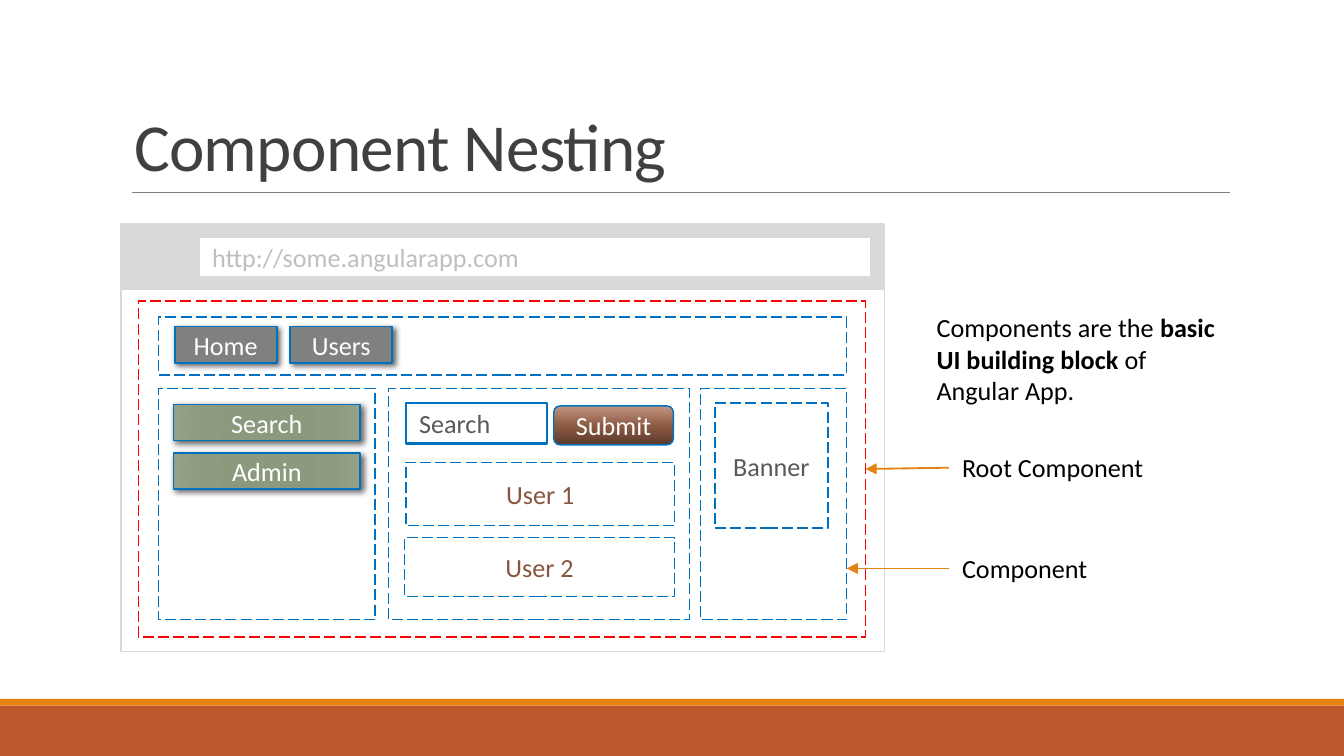
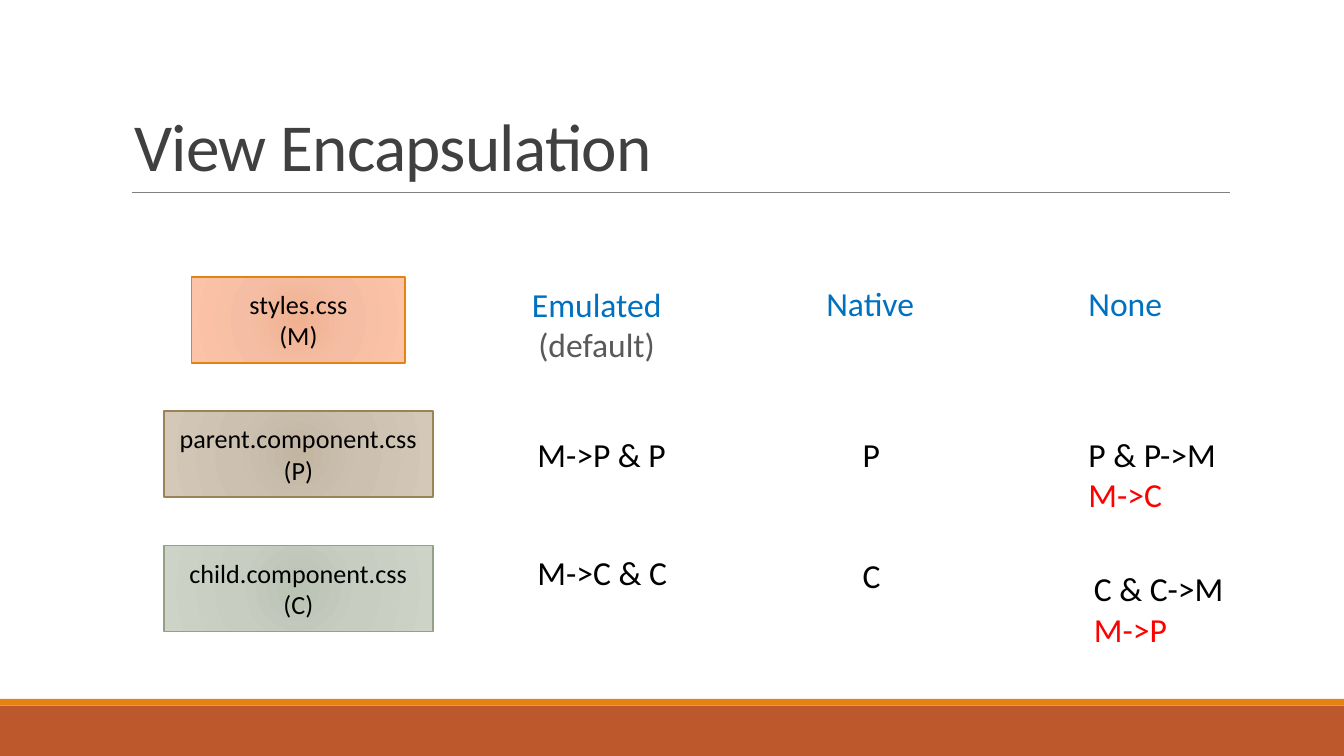
from dataclasses import dataclass
from typing import Optional, Union

from lxml.etree import SubElement
from pptx import Presentation
from pptx.dml.color import RGBColor
from pptx.enum.dml import MSO_LINE
from pptx.enum.shapes import MSO_CONNECTOR, MSO_SHAPE
from pptx.enum.text import MSO_ANCHOR, MSO_AUTO_SIZE, PP_ALIGN
from pptx.oxml import parse_xml
from pptx.oxml.ns import nsdecls, qn
from pptx.util import Inches, Pt

# Shared colours and font
FONT = "Calibri"
WHITE = RGBColor(0xFF, 0xFF, 0xFF)
BLACK = RGBColor(0, 0, 0)
RED = RGBColor(0xFF, 0, 0)
BLUE = RGBColor(0x00, 0x70, 0xC0)
ORANGE = RGBColor(0xE4, 0x83, 0x12)
RUST = RGBColor(0xBD, 0x58, 0x2C)
BROWN = RGBColor(0x86, 0x56, 0x40)
SAND = RGBColor(0x9B, 0x83, 0x57)
SAGE = RGBColor(0x94, 0xA0, 0x88)
TITLE_GRAY = RGBColor(0x40, 0x40, 0x40)
DARK_GRAY = RGBColor(0x59, 0x59, 0x59)
MID_GRAY = RGBColor(0x80, 0x80, 0x80)
URL_GRAY = RGBColor(0xBF, 0xBF, 0xBF)
LIGHT_GRAY = RGBColor(0xD9, 0xD9, 0xD9)

LEFT, CENTER = PP_ALIGN.LEFT, PP_ALIGN.CENTER
Area = tuple[float, float, float, float]
Point = tuple[float, float]


@dataclass(frozen=True)
class Gradient:
    """Stops as (percent, hex colour); radial unless an angle is given."""
    stops: tuple[tuple[int, str], ...]
    angle: Optional[int] = None


@dataclass(frozen=True)
class Span:
    text: str
    color: RGBColor = BLACK
    bold: bool = False


Lines = list[list[Span]]


@dataclass(frozen=True)
class Panel:
    area: Area
    lines: Optional[Lines] = None
    fill: Union[RGBColor, Gradient, None] = None
    line: Optional[RGBColor] = BLUE
    weight: float = 0.75
    dashed: bool = False
    align: PP_ALIGN = CENTER
    shadow_blur: float = 0
    shape: MSO_SHAPE = MSO_SHAPE.RECTANGLE


@dataclass(frozen=True)
class Label:
    area: Area
    lines: Lines
    size: float = 18
    align: PP_ALIGN = LEFT
    wrap: bool = False


GREEN_GLOW = Gradient(((0, "8A987B"), (34, "8B997D"), (70, "8D9C7E"), (100, "94A187")))
SUBMIT_SHINE = Gradient(((0, "5A3A2B"), (48, "8C5A43"), (100, "C29580")), 270)
PEACH_GLOW = Gradient(((0, "F0B191"), (45, "F5BEA4"), (100, "FDC3A8")))
SAND_GLOW = Gradient(((0, "C2B5A2"), (45, "CCC1B1"), (100, "D4C8B8")))
SAGE_GLOW = Gradient(((0, "BBC3B5"), (45, "C7CDC1"), (100, "CDD4C7")))


def words(text: str, color: RGBColor = BLACK) -> Lines:
    return [[Span(text, color)]]


def write(frame, lines: Lines, size: float, align: PP_ALIGN) -> None:
    for index, spans in enumerate(lines):
        para = frame.paragraphs[0] if index == 0 else frame.add_paragraph()
        para.alignment = align
        for span in spans:
            run = para.add_run()
            run.text = span.text
            run.font.name = FONT
            run.font.size = Pt(size)
            run.font.bold = span.bold
            run.font.color.rgb = span.color


def set_gradient(box, gradient: Gradient) -> None:
    stops = "".join(
        f'<a:gs pos="{pos * 1000}"><a:srgbClr val="{color}"/></a:gs>'
        for pos, color in gradient.stops
    )
    if gradient.angle is None:
        course = ('<a:path path="circle"><a:fillToRect l="100000" t="100000" '
                  'r="100000" b="100000"/></a:path>')
    else:
        course = f'<a:lin ang="{gradient.angle * 60000}" scaled="0"/>'
    fill = parse_xml(f'<a:gradFill {nsdecls("a")} rotWithShape="1">'
                     f'<a:gsLst>{stops}</a:gsLst>{course}</a:gradFill>')
    properties = box._element.spPr
    properties.replace(properties.find(qn("a:noFill")), fill)


def set_shadow(box, blur: float) -> None:
    effects = box._element.spPr.find(qn("a:effectLst"))
    effects.append(parse_xml(
        f'<a:outerShdw {nsdecls("a")} blurRad="{Pt(blur)}" dist="{Pt(2)}" '
        'dir="2700000" algn="tl" rotWithShape="0"><a:srgbClr val="000000">'
        '<a:alpha val="60000"/></a:srgbClr></a:outerShdw>'))


def add_panel(page, panel: Panel):
    box = page.shapes.add_shape(panel.shape, *map(Inches, panel.area))
    box.shadow.inherit = False
    if isinstance(panel.fill, RGBColor):
        box.fill.solid()
        box.fill.fore_color.rgb = panel.fill
    else:
        box.fill.background()
        if panel.fill:
            set_gradient(box, panel.fill)
    if panel.line is None:
        box.line.fill.background()
    else:
        box.line.color.rgb = panel.line
        box.line.width = Pt(panel.weight)
        if panel.dashed:
            box.line.dash_style = MSO_LINE.LONG_DASH
    if panel.shadow_blur:
        set_shadow(box, panel.shadow_blur)
    if panel.lines:
        box.text_frame.vertical_anchor = MSO_ANCHOR.MIDDLE
        write(box.text_frame, panel.lines, 14, panel.align)
    return box


def add_label(page, label: Label) -> None:
    frame = page.shapes.add_textbox(*map(Inches, label.area)).text_frame
    frame.word_wrap = label.wrap
    frame.auto_size = MSO_AUTO_SIZE.SHAPE_TO_FIT_TEXT
    write(frame, label.lines, label.size, label.align)


def add_line(page, start: Point, end: Point, color: RGBColor,
             weight: float, arrow: bool = False) -> None:
    line = page.shapes.add_connector(MSO_CONNECTOR.STRAIGHT, *map(Inches, start + end))
    line.line.color.rgb = color
    line.line.width = Pt(weight)
    properties = line._element.spPr
    if arrow:
        SubElement(properties.find(qn("a:ln")), qn("a:tailEnd"), type="triangle")
    SubElement(properties, qn("a:effectLst"))


def add_page(deck, title: str):
    """A blank page with the bottom bands, the title and its rule."""
    page = deck.slides.add_slide(deck.slide_layouts[6])
    add_panel(page, Panel((0, 5.25, 10, 0.38), fill=RUST, line=None))
    add_panel(page, Panel((0, 5.2, 10, 0.05), fill=ORANGE, line=None))
    add_line(page, (0.98, 1.43), (9.15, 1.43), MID_GRAY, 0.5)
    box = page.shapes.add_textbox(*map(Inches, (0.9, 0.24, 8.25, 1.19)))
    frame = box.text_frame
    frame.word_wrap = True
    frame.vertical_anchor = MSO_ANCHOR.BOTTOM
    write(frame, words(title, TITLE_GRAY), 36, LEFT)
    para = frame.paragraphs[0]
    para.line_spacing = 0.85
    para.runs[0].font._element.set("spc", "-40")
    return page


def build_nesting(deck) -> None:
    page = add_page(deck, "Component Nesting")

    # Root component, see-through white
    root = add_panel(page, Panel((1.03, 2.24, 5.41, 2.5), fill=WHITE, line=RED, dashed=True))
    color = root._element.spPr.find(qn("a:solidFill"))[0]
    SubElement(color, qn("a:alpha"), val="45000")

    # Browser window with address bar
    for panel in (
        Panel((0.9, 1.67, 5.68, 3.18), line=LIGHT_GRAY),
        Panel((0.9, 1.67, 5.68, 0.48), fill=LIGHT_GRAY, line=LIGHT_GRAY, weight=1.25),
        Panel((1.48, 1.76, 5, 0.3), words("http://some.angularapp.com", URL_GRAY),
              WHITE, LIGHT_GRAY, 1.25, align=LEFT),
    ):
        add_panel(page, panel)

    # Nested component outlines: header, then three columns
    add_panel(page, Panel((1.18, 2.36, 5.12, 0.43), dashed=True))
    for left, width in ((1.18, 1.61), (2.89, 2.24), (5.21, 1.09)):
        add_panel(page, Panel((left, 2.89, width, 1.72), dashed=True))

    # Header and side menu buttons
    for index, name in enumerate(("Home", "Users")):
        add_panel(page, Panel((1.3 + index * 0.86, 2.43, 0.76, 0.27), words(name, WHITE),
                              MID_GRAY, weight=1, shadow_blur=3))
    for index, name in enumerate(("Search", "Admin")):
        add_panel(page, Panel((1.29, 3.01 + index * 0.36, 1.39, 0.27), words(name, WHITE),
                              GREEN_GLOW, shadow_blur=3.5))

    # Search form, user list and banner
    for panel in (
        Panel((3.02, 3, 1.05, 0.3), words("Search", DARK_GRAY), WHITE,
              weight=1.25, align=LEFT),
        Panel((3.02, 3.44, 2, 0.47), words("User 1", BROWN), dashed=True),
        Panel((3.01, 4, 2.01, 0.44), words("User 2", BROWN), dashed=True),
        Panel((5.32, 3, 0.84, 0.93), words("Banner", DARK_GRAY), dashed=True),
        Panel((4.12, 3.02, 0.89, 0.29), words("Submit", WHITE), SUBMIT_SHINE,
              shape=MSO_SHAPE.ROUNDED_RECTANGLE),
    ):
        add_panel(page, panel)

    # Explanation and callouts
    add_label(page, Label((7.06, 3.31, 1.56, 0.34), words("Root Component"), 14))
    add_label(page, Label((7.06, 4.06, 1.14, 0.34), words("Component"), 14))
    add_label(page, Label((6.87, 2.27, 2.35, 0.81), [[
        Span("Components are the "),
        Span("basic UI building block", bold=True),
        Span(" of Angular App."),
    ]], 14, wrap=True))
    add_line(page, (7.06, 4.23), (6.3, 4.23), ORANGE, 1, arrow=True)
    add_line(page, (7.06, 3.48), (6.44, 3.49), ORANGE, 1, arrow=True)


def build_encapsulation(deck) -> None:
    page = add_page(deck, "View Encapsulation")

    # Style sheets, one per row around a common centre
    sheets = (
        ("styles.css", "(M)", 1.59, PEACH_GLOW, ORANGE),
        ("parent.component.css", "(P)", 2, SAND_GLOW, SAND),
        ("child.component.css", "(C)", 2, SAGE_GLOW, SAGE),
    )
    for row, (name, letter, width, glow, edge) in enumerate(sheets):
        add_panel(page, Panel((2.22 - width / 2, 2.06 + row, width, 0.64),
                              [[Span(name)], [Span(letter)]], glow, edge, 1))

    # Modes and what each one applies
    for label in (
        Label((3.85, 2.06, 1.18, 0.71),
              words("Emulated", BLUE) + words("(default)", DARK_GRAY), align=CENTER),
        Label((6.05, 2.06, 0.86, 0.4), words("Native", BLUE)),
        Label((8, 2.06, 0.76, 0.4), words("None", BLUE)),
        Label((3.9, 3.18, 1.17, 0.4), words("M->P & P")),
        Label((3.9, 4.06, 1.18, 0.4), words("M->C & C")),
        Label((6.32, 3.18, 0.33, 0.4), words("P")),
        Label((6.32, 4.08, 0.34, 0.4), words("C")),
        Label((8.04, 4.18, 1.18, 0.71), words("C & C->M") + words("M->P", RED)),
        Label((8, 3.18, 1.17, 0.71), words("P & P->M") + words("M->C", RED)),
    ):
        add_label(page, label)


deck = Presentation()
deck.slide_width = Inches(10)
deck.slide_height = Inches(10) * 9 // 16
build_nesting(deck)
build_encapsulation(deck)
deck.save("out.pptx")
